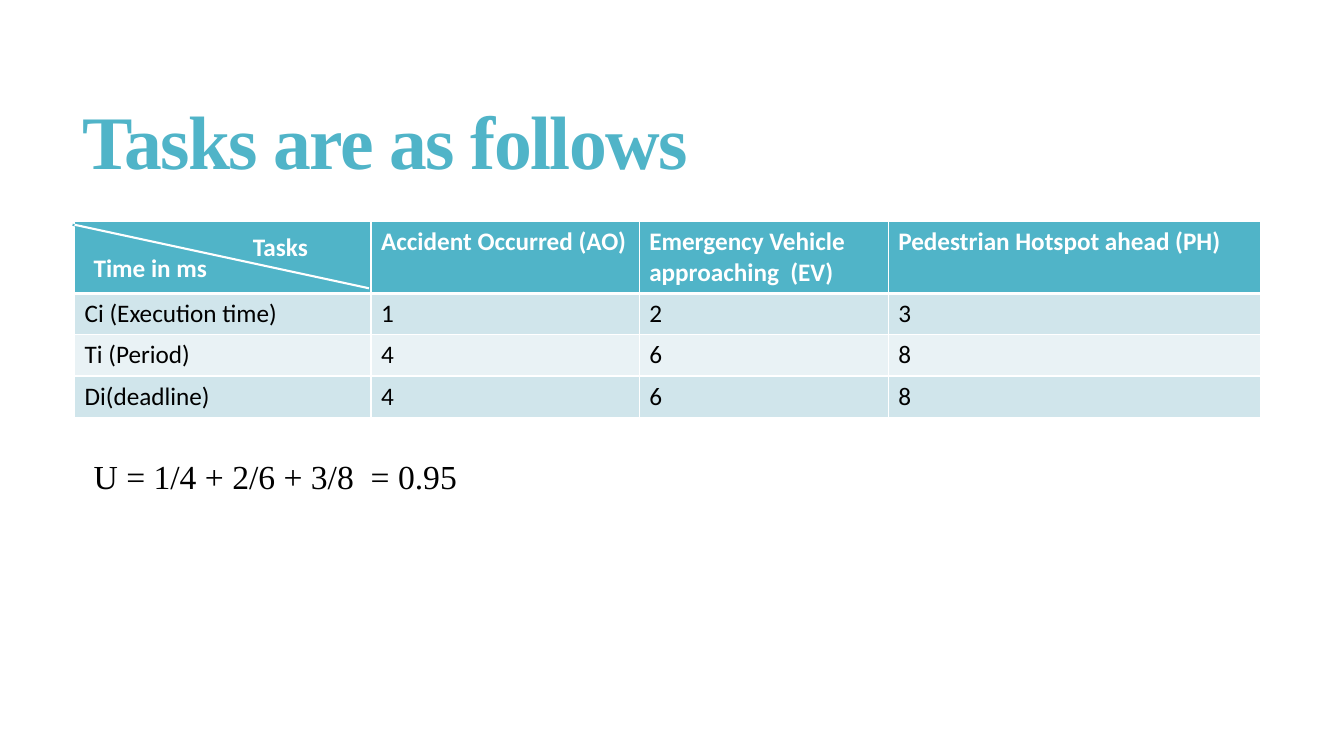
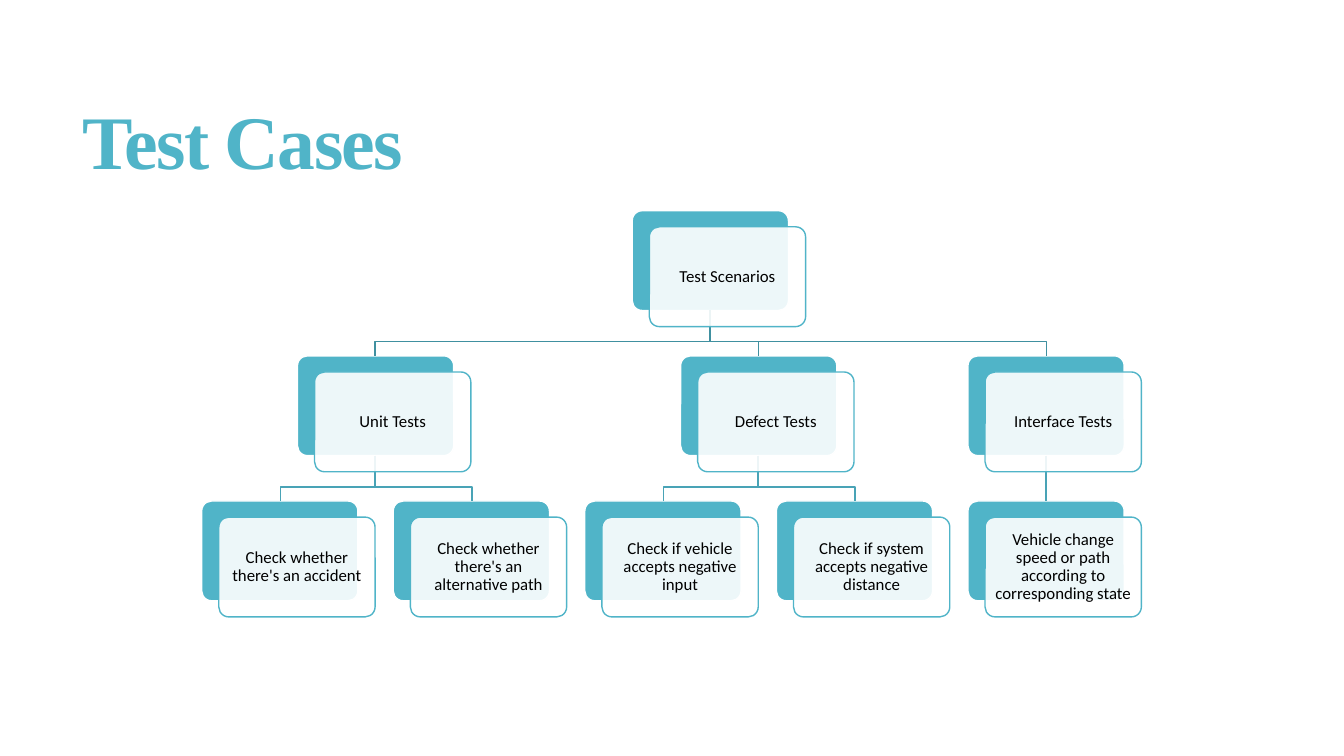
from lxml.etree import SubElement
from pptx import Presentation
from pptx.dml.color import RGBColor
from pptx.enum.shapes import MSO_CONNECTOR as Link, MSO_SHAPE as Shape
from pptx.enum.text import MSO_ANCHOR as Anchor, MSO_AUTO_SIZE as AutoSize, PP_ALIGN as Align
from pptx.oxml import parse_xml
from pptx.oxml.ns import nsdecls, qn
from pptx.util import Pt

SCALE = 9144
TEAL = RGBColor(0x50, 0xB4, 0xC8)
ROOT_LINK = RGBColor(0x40, 0x90, 0xA0)
BRANCH_LINK = RGBColor(0x49, 0xA3, 0xB6)
BAND_DARK = RGBColor(0xD0, 0xE5, 0xEB)
BAND_LIGHT = RGBColor(0xE9, 0xF2, 0xF5)
WHITE = RGBColor(0xFF, 0xFF, 0xFF)
BLACK = RGBColor(0x00, 0x00, 0x00)
SANS = "Calibri"
SERIF = "Times New Roman"

TASK_ROWS = [
    ["", "Accident Occurred (AO)", "Emergency Vehicle approaching  (EV)", "Pedestrian Hotspot ahead (PH)"],
    ["Ci (Execution time)", "1", "2", "3"],
    ["Ti (Period)", "4", "6", "8"],
    ["Di(deadline)", "4", "6", "8"],
]
COLUMN_WIDTHS = [294, 266, 247, 369]
HEADER_HEIGHT, ROW_HEIGHT = 69, 41

TEST_TREE = ("Test Scenarios", [
    ("Unit Tests", [
        ("Check whether there's an accident", []),
        ("Check whether there's an alternative path", []),
    ]),
    ("Defect Tests", [
        ("Check if vehicle accepts negative input", []),
        ("Check if system accepts negative distance", []),
    ]),
    ("Interface Tests", [
        ("Vehicle change speed or path according to corresponding state", []),
    ]),
])
CARD_WIDTH, CARD_HEIGHT = 155, 99
COLUMN_PITCH, LEVEL_PITCH = 190, 144
FRONT_SHIFT = (17, 16)
BUS_DROP = 31


def px(*lengths):
    """Turn px lengths into EMU."""
    return [length * SCALE for length in lengths]


def write_text(frame, text, size=18, font=SANS, color=BLACK, bold=False,
               align=Align.LEFT, line_spacing=None, tracking=None):
    """Write one formatted paragraph into a text frame."""
    frame.word_wrap = True
    para = frame.paragraphs[0]
    para.alignment = align
    if line_spacing:
        para.line_spacing = line_spacing
    span = para.add_run()
    span.text = text
    span.font.size = Pt(size)
    span.font.name = font
    span.font.bold = bold
    span.font.color.rgb = color
    if tracking:
        span.font._element.set("spc", str(tracking))


def add_page(deck, title):
    """Add a title-only page with the shared title style."""
    page = deck.slides.add_slide(deck.slide_layouts[5])
    box = page.shapes.title
    box.left, box.top, box.width, box.height = px(72, 55, 1178, 181)
    frame = box.text_frame
    frame.auto_size = AutoSize.NONE
    frame.vertical_anchor = Anchor.MIDDLE
    write_text(frame, title, size=54, font=SERIF, color=TEAL, bold=True,
               line_spacing=0.85, tracking=-120)
    return page


def add_label(page, box, text, **style):
    """Add a text box with one paragraph."""
    write_text(page.shapes.add_textbox(*px(*box)).text_frame, text, **style)


def add_line(page, ends, color, weight):
    """Add a straight connector without a shadow."""
    line = page.shapes.add_connector(Link.STRAIGHT, *px(*ends))
    line.line.color.rgb = color
    line.line.width = Pt(weight)
    SubElement(line.element.spPr, qn("a:effectLst"))
    return line


def style_cell(cell, fill, top, bottom):
    """Fill a cell and give it white borders of the given point widths."""
    cell.fill.solid()
    cell.fill.fore_color.rgb = fill
    properties = cell._tc.get_or_add_tcPr()
    widths = {"lnL": 1, "lnR": 1, "lnT": top, "lnB": bottom}
    for index, (side, weight) in enumerate(widths.items()):
        properties.insert(index, parse_xml(
            f'<a:{side} {nsdecls("a")} w="{Pt(weight)}"><a:solidFill>'
            f'<a:srgbClr val="{WHITE}"/></a:solidFill></a:{side}>'))


def add_task_table(page, left, top):
    """Add the task table with its split corner cell."""
    heights = [HEADER_HEIGHT] + [ROW_HEIGHT] * (len(TASK_ROWS) - 1)
    size = (sum(COLUMN_WIDTHS), sum(heights))
    table = page.shapes.add_table(len(TASK_ROWS), len(COLUMN_WIDTHS),
                                  *px(left, top, *size)).table
    table.horz_banding = False
    for column, width in zip(table.columns, px(*COLUMN_WIDTHS)):
        column.width = width
    for row, height in zip(table.rows, px(*heights)):
        row.height = height
    for r, texts in enumerate(TASK_ROWS):
        header = r == 0
        fill = TEAL if header else BAND_DARK if r % 2 else BAND_LIGHT
        for c, text in enumerate(texts):
            cell = table.cell(r, c)
            style_cell(cell, fill, top=3 if r == 1 else 1, bottom=3 if header else 1)
            write_text(cell.text_frame, text, color=WHITE if header else BLACK, bold=header)
    for shift, color in ((-2, TEAL), (0, WHITE)):
        start = left + shift
        add_line(page, (start, top + 3, start + 292, top + 66), color, 1.5)
    add_label(page, (left + 167, top + 5, 83, 40), "Tasks", color=WHITE, bold=True)
    add_label(page, (left + 9, top + 25, 153, 40), "Time in ms", color=WHITE, bold=True)


def add_card(page, left, top, fill, line):
    """Add one rounded card."""
    card = page.shapes.add_shape(Shape.ROUNDED_RECTANGLE,
                                 *px(left, top, CARD_WIDTH, CARD_HEIGHT))
    card.adjustments[0] = 0.1
    card.shadow.inherit = False
    card.fill.solid()
    card.fill.fore_color.rgb = fill
    card.line.color.rgb = line
    card.line.width = Pt(1)
    return card


def add_front_card(page, left, top, text):
    """Add the translucent card that carries a node's text."""
    card = add_card(page, left + FRONT_SHIFT[0], top + FRONT_SHIFT[1], WHITE, TEAL)
    color = card.element.spPr.find(qn("a:solidFill"))[0]
    SubElement(color, qn("a:alpha"), val="90000")
    frame = card.text_frame
    frame.margin_left, frame.margin_top, frame.margin_right, frame.margin_bottom = px(5, 5, 5, 5)
    frame.vertical_anchor = Anchor.MIDDLE
    write_text(frame, text, size=12, align=Align.CENTER, line_spacing=0.9)


def lay_out(node, left, top, nodes, links):
    """Collect node places and links, centring parents; return left and next free left."""
    text, children = node
    free, places = left, []
    for child in children:
        place, free = lay_out(child, free, top + LEVEL_PITCH, nodes, links)
        places.append(place)
    own = (places[0] + places[-1]) // 2 if places else left
    nodes[own, top] = text
    links.extend(((own, top), (place, top + LEVEL_PITCH)) for place in places)
    return own, free if places else left + COLUMN_PITCH


def add_branch(page, parent, child, cards, color):
    """Link two cards: joined when in line, otherwise by a bent path."""
    x1, y1 = parent[0] + CARD_WIDTH / 2, parent[1] + CARD_HEIGHT
    x2, y2 = child[0] + CARD_WIDTH / 2, child[1]
    if x1 == x2:
        line = add_line(page, (0, 0, 0, 0), color, 1)
        line.begin_connect(cards[parent], 2)
        line.end_connect(cards[child], 0)
        return
    bus = y1 + BUS_DROP
    builder = page.shapes.build_freeform(x1, y1, scale=SCALE)
    builder.add_line_segments([(x1, bus), (x2, bus), (x2, y2)], close=False)
    path = builder.convert_to_shape()
    path.shadow.inherit = False
    path.fill.background()
    path.line.color.rgb = color
    path.line.width = Pt(1)


def add_test_tree(page, left, top):
    """Draw the test hierarchy from its top left corner."""
    nodes, links = {}, []
    lay_out(TEST_TREE, left, top, nodes, links)
    cards = {place: add_card(page, *place, TEAL, WHITE) for place in nodes}
    for parent, child in links:
        add_branch(page, parent, child, cards, ROOT_LINK if parent[1] == top else BRANCH_LINK)
    for place, text in nodes.items():
        add_front_card(page, *place, text)


def build_tasks_page(deck):
    """Build the page with the task table and its utilisation."""
    page = add_page(deck, "Tasks are as follows")
    add_task_table(page, 74, 220)
    add_label(page, (83, 447, 472, 111), "U = 1/4 + 2/6 + 3/8  = 0.95", size=24, font=SERIF)


def build_tests_page(deck):
    """Build the page with the test hierarchy."""
    add_test_tree(add_page(deck, "Test Cases"), 200, 209)


def main():
    """Build and save the deck."""
    deck = Presentation()
    deck.slide_width, deck.slide_height = px(1333, 750)
    build_tasks_page(deck)
    build_tests_page(deck)
    deck.save("out.pptx")


if __name__ == "__main__":
    main()
